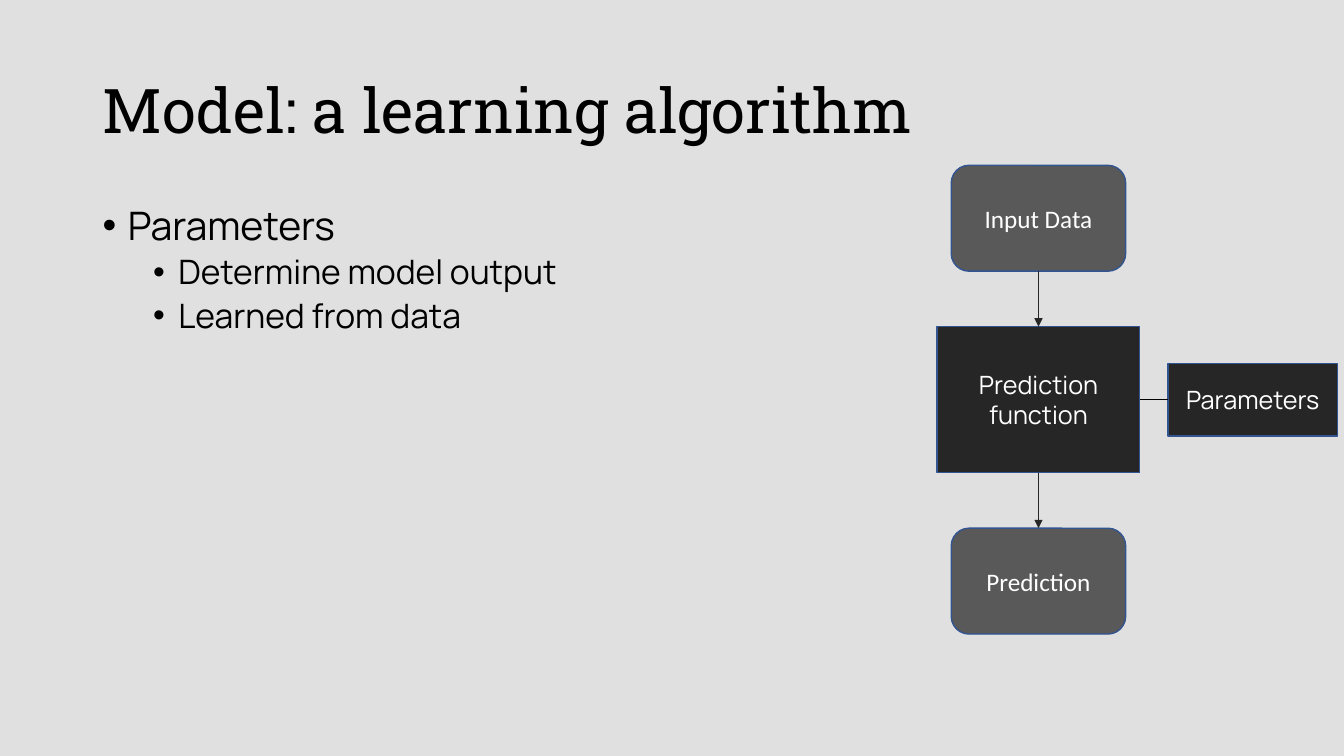
from lxml.etree import SubElement
from pptx import Presentation
from pptx.dml.color import RGBColor
from pptx.enum.shapes import MSO_CONNECTOR as CONNECTOR, MSO_SHAPE as SHAPE
from pptx.enum.text import MSO_ANCHOR as ANCHOR, PP_ALIGN as ALIGN
from pptx.oxml.ns import qn
from pptx.util import Inches, Pt

BACKGROUND, INK, WHITE = "E0E0E0", "000000", "FFFFFF"
DARK, GRAY, OUTLINE = "262626", "595959", "325491"

TITLE = "Model: a learning algorithm"
POINTS = [
    ("Parameters", 0),
    ("Determine model output", 1),
    ("Learned from data", 1),
]
LEVELS = [
    {"size": 28, "before": 10, "indent": 0.25},
    {"size": 24, "before": 5, "indent": 0.75},
]
DATA = (SHAPE.ROUNDED_RECTANGLE, 1.73, 1.05, GRAY, "Calibri")
FUNCTION = (SHAPE.RECTANGLE, 2.01, 1.45, DARK, "Manrope")
SETTINGS = (SHAPE.RECTANGLE, 1.68, 0.72, DARK, "Manrope")
FLOW = [("Input Data", DATA), ("Prediction function", FUNCTION), ("Prediction", DATA)]
FLOW_CENTER, FLOW_TOP, FLOW_GAP = 10.3, 1.64, 0.55
SIDE_GAP = 0.28


def color(value):
    return RGBColor.from_string(value)


def style(font, name, size, ink):
    font.name, font.size, font.color.rgb = name, Pt(size), color(ink)


def add_text(left, top, width, height, anchor):
    box = slide.shapes.add_textbox(*map(Inches, (left, top, width, height)))
    frame = box.text_frame
    frame.word_wrap = True
    frame.vertical_anchor = anchor
    return frame


def add_bullet(paragraph, indent):
    props = paragraph._p.get_or_add_pPr()
    props.set("marL", str(Inches(indent)))
    props.set("indent", str(Inches(-0.25)))
    SubElement(props, qn("a:buFont"), typeface="Arial")
    SubElement(props, qn("a:buChar"), char="•")


def add_step(label, kind, left, top):
    preset, width, height, fill, font = kind
    step = slide.shapes.add_shape(preset, *map(Inches, (left, top, width, height)))
    step.shadow.inherit = False
    step.fill.solid()
    step.fill.fore_color.rgb = color(fill)
    step.line.color.rgb = color(OUTLINE)
    step.line.width = Pt(1)
    frame = step.text_frame
    frame.word_wrap = True
    frame.vertical_anchor = ANCHOR.MIDDLE
    paragraph = frame.paragraphs[0]
    paragraph.text = label
    paragraph.alignment = ALIGN.CENTER
    style(paragraph.font, font, 18, WHITE)
    return step


def connect(start, start_site, end, end_site, ink, arrow=False):
    link = slide.shapes.add_connector(CONNECTOR.STRAIGHT, 0, 0, 0, 0)
    link.begin_connect(start, start_site)
    link.end_connect(end, end_site)
    link.line.color.rgb = color(ink)
    link.line.width = Pt(0.5)
    if arrow:
        SubElement(link.line._get_or_add_ln(), qn("a:tailEnd"), type="triangle")
    SubElement(link._element.spPr, qn("a:effectLst"))


deck = Presentation()
deck.slide_width, deck.slide_height = Inches(13.33), Inches(7.5)
slide = deck.slides.add_slide(deck.slide_layouts[6])
slide.background.fill.solid()
slide.background.fill.fore_color.rgb = color(BACKGROUND)

heading = add_text(0.92, 0.4, 11.5, 1.45, ANCHOR.MIDDLE).paragraphs[0]
heading.text = TITLE
heading.line_spacing = 0.9
style(heading.font, "Roboto Slab", 44, INK)

body = add_text(0.92, 2, 7.64, 4.76, ANCHOR.TOP)
for index, (point, depth) in enumerate(POINTS):
    level = LEVELS[depth]
    paragraph = body.add_paragraph() if index else body.paragraphs[0]
    paragraph.text = point
    paragraph.level = depth
    paragraph.line_spacing = 0.9
    if index:
        paragraph.space_before = Pt(level["before"])
    add_bullet(paragraph, level["indent"])
    style(paragraph.font, "Manrope", level["size"], INK)

steps = []
top = FLOW_TOP
for label, kind in FLOW:
    width, height = kind[1:3]
    steps.append(add_step(label, kind, FLOW_CENTER - width / 2, top))
    top += height + FLOW_GAP
for upper, lower in zip(steps, steps[1:]):
    connect(upper, 2, lower, 0, DARK, arrow=True)

function = steps[1]
parameters = add_step(
    "Parameters",
    SETTINGS,
    (function.left + function.width).inches + SIDE_GAP if hasattr(function.left + function.width, "inches")
    else FLOW_CENTER + FUNCTION[1] / 2 + SIDE_GAP,
    FLOW_TOP + DATA[2] + FLOW_GAP + (FUNCTION[2] - SETTINGS[2]) / 2,
)
connect(parameters, 1, function, 3, INK)

deck.save("out.pptx")
